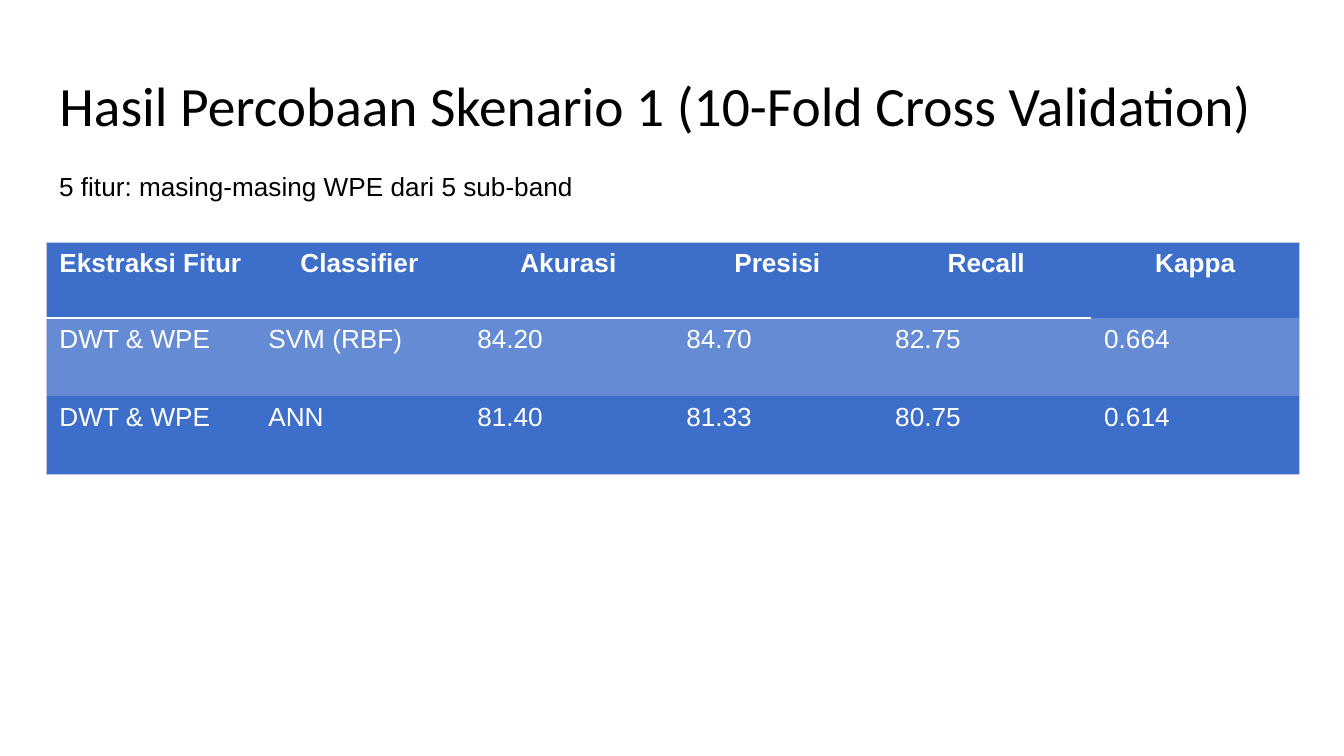
from lxml.etree import SubElement
from pptx import Presentation
from pptx.dml.color import RGBColor
from pptx.enum.text import MSO_ANCHOR as Anchor, PP_ALIGN as Align
from pptx.oxml.ns import qn
from pptx.util import Emu, Pt

EMU_PER_PX = 914400 / 134.4
COLORS = {
    "ink": "000000",
    "white": "FFFFFF",
    "blue": "3D6EC9",
    "light_blue": "648BD4",
    "frame": "C1C9E4",
}
RESULTS = [
    ["Ekstraksi Fitur", "Classifier", "Akurasi", "Presisi", "Recall", "Kappa"],
    ["DWT & WPE", "SVM (RBF)", "84.20", "84.70", "82.75", "0.664"],
    ["DWT & WPE", "ANN", "81.40", "81.33", "80.75", "0.614"],
]
ROW_FILLS = ["blue", "light_blue", "blue"]
ROW_HEIGHTS = [76, 78, 78]
COLUMN_WIDTH = 209


def px(length):
    return Emu(round(length * EMU_PER_PX))


def rgb(name):
    return RGBColor.from_string(COLORS[name])


def add_run(paragraph, text, size, font_name, color, bold=False):
    run = paragraph.add_run()
    run.text = text
    run.font.size = Pt(size)
    run.font.name = font_name
    run.font.bold = bold
    run.font.color.rgb = rgb(color)


def set_title(slide, text):
    title = slide.shapes.title
    title.left, title.top, title.width, title.height = map(px, (46, 66, 1253, 85))
    frame = title.text_frame
    frame.word_wrap = True
    frame.vertical_anchor = Anchor.MIDDLE
    frame.margin_left = frame.margin_right = Pt(7.2)
    frame.margin_top = frame.margin_bottom = Pt(7.2)
    heading = frame.paragraphs[0]
    heading.alignment = Align.LEFT
    heading.line_spacing = 0.9
    add_run(heading, text, 29.7, "Calibri", "ink")


def add_caption(slide, text):
    caption = slide.shapes.add_textbox(*map(px, (46, 164, 543, 46)))
    caption.text_frame.word_wrap = False
    add_run(caption.text_frame.paragraphs[0], text, 14, "Arial", "ink")


def set_borders(cell, borders):
    """Draw the given sides as (colour, points) and hide the others."""
    properties = cell._tc.get_or_add_tcPr()
    for side in "LRTB":
        line = SubElement(properties, qn(f"a:ln{side}"))
        if side in borders:
            color, width = borders[side]
            line.set("w", str(Pt(width)))
            fill = SubElement(line, qn("a:solidFill"))
            SubElement(fill, qn("a:srgbClr")).set("val", COLORS[color])
        else:
            line.set("w", "0")
            SubElement(line, qn("a:noFill"))


def cell_borders(row, column):
    last_row, last_column = len(RESULTS) - 1, len(RESULTS[0]) - 1
    on_frame = {
        "L": column == 0,
        "R": column == last_column,
        "T": row == 0,
        "B": row == last_row,
    }
    borders = {side: ("frame", 0.5) for side, edge in on_frame.items() if edge}
    # The rule below the header stops before the last column
    if column < last_column and row < 2:
        borders["B" if row == 0 else "T"] = ("white", 1.5)
    return borders


def add_results_table(slide):
    columns = len(RESULTS[0])
    bounds = (46, 242, COLUMN_WIDTH * columns, sum(ROW_HEIGHTS))
    table = slide.shapes.add_table(len(RESULTS), columns, *map(px, bounds)).table
    table.first_row = table.horz_banding = False
    for column in table.columns:
        column.width = px(COLUMN_WIDTH)
    for r, values in enumerate(RESULTS):
        table.rows[r].height = px(ROW_HEIGHTS[r])
        for c, value in enumerate(values):
            cell = table.cell(r, c)
            set_borders(cell, cell_borders(r, c))
            cell.fill.solid()
            cell.fill.fore_color.rgb = rgb(ROW_FILLS[r])
            entry = cell.text_frame.paragraphs[0]
            entry.alignment = Align.CENTER if r == 0 else Align.LEFT
            add_run(entry, value, 14, "Arial", "white", bold=r == 0)


def main():
    deck = Presentation()
    deck.slide_width, deck.slide_height = px(1344), px(756)
    slide = deck.slides.add_slide(deck.slide_layouts[5])

    # Heading and feature note
    set_title(slide, "Hasil Percobaan Skenario 1 (10-Fold Cross Validation)")
    add_caption(slide, "5 fitur: masing-masing WPE dari 5 sub-band")

    # Classifier scores
    add_results_table(slide)
    deck.save("out.pptx")


if __name__ == "__main__":
    main()
